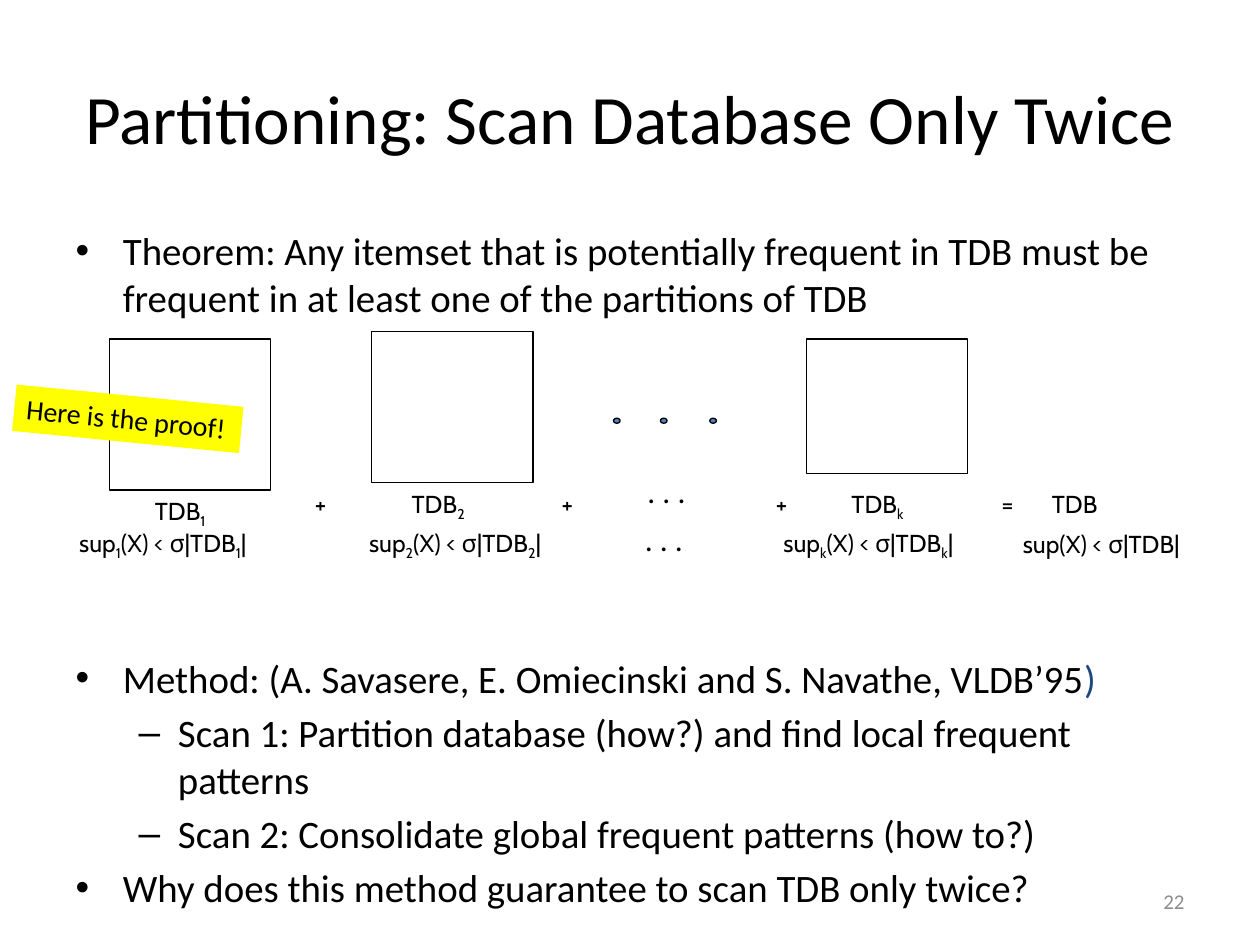
import pptx
import pptx.util
import pptx.dml.color
import pptx.enum.shapes
import pptx.enum.text
import pptx.oxml
from lxml import etree

Pt = pptx.util.Pt
RGB = pptx.dml.color.RGBColor.from_string
SHAPE = pptx.enum.shapes.MSO_SHAPE
ALIGN = pptx.enum.text.PP_ALIGN
ANCHOR = pptx.enum.text.MSO_ANCHOR
AUTO = pptx.enum.text.MSO_AUTO_SIZE

THEME = {
    "font": "Calibri", "label_font": "Cabin",
    "title": 39.6, "body": 22.2, "label": 14, "dots": 18, "note": 16, "number": 12,
    "text": "000000", "accent": "1F497D", "dot": "4F81BD",
    "highlight": "FFFF00", "muted": "8C8C8C", "line": "000000",
}

# Content
TITLE = "Partitioning: Scan Database Only Twice"
DIAGRAM_GAP = 191
# (level, space before, runs as (text, colour key))
BULLETS = [
    (0, 0, [("Theorem: Any itemset that is potentially frequent in TDB must be "
             "frequent in at least one of the partitions of TDB", "text")]),
    (0, DIAGRAM_GAP, [("Method: (A. Savasere, E. Omiecinski and S. Navathe, VLDB’95", "text"),
                      (")", "accent")]),
    (1, 4.4, [("Scan 1: Partition database (how?) and find local frequent patterns", "text")]),
    (1, 4.4, [("Scan 2: Consolidate global frequent patterns (how to?)", "text")]),
    (0, 4.4, [("Why does this method guarantee to scan TDB only twice?", "text")]),
]
NAME_Y, SUP_Y, LABEL_H = 275.8, 298.1, 24.2
# index, box (left, top, height), name (left, top, width), support (left, width)
PARTITIONS = [
    ("1", (62.6, 193.7, 86.4), (81.4, 280.1, 61), (38.2, 147)),
    ("2", (212.4, 189.4, 86.4), (228.2, NAME_Y, 61), (203.8, 147)),
    ("k", (460.8, 193.7, 77), (479.5, NAME_Y, 55.5), (440.6, 129)),
]
BOX_W = 92.2
PLUS_LEFTS = [172.8, 313.9, 436.3]
DOT_LEFTS = [350.6, 377.4, 405.6]
ELLIPSES = [(362.9, 266.4), (361.4, 293.8)]
TOTAL_TAB = 28.8


def style(r, size, color="text", font="font"):
    r.font.name = THEME[font]
    r.font.size = Pt(THEME[size])
    r.font.color.rgb = RGB(THEME[color])


def add_text(s, text, box, size="label", font="label_font", color="text"):
    """Add a text box; parts between ~ marks are subscripts."""
    tf = s.shapes.add_textbox(*map(Pt, box)).text_frame
    tf.word_wrap = True
    p = tf.paragraphs[0]
    for i, part in enumerate(text.split("~")):
        r = p.add_run()
        r.text = part
        style(r, size, color, font)
        if i % 2:
            r._r.get_or_add_rPr().set("baseline", "-25000")
    return tf


def add_shape(s, kind, box, fill=None, line=None):
    sp = s.shapes.add_shape(kind, *map(Pt, box))
    sp.shadow.inherit = False
    if fill:
        sp.fill.solid()
        sp.fill.fore_color.rgb = RGB(THEME[fill])
    else:
        sp.fill.background()
    if line:
        sp.line.color.rgb = RGB(THEME[line])
        sp.line.width = Pt(0.75)
    else:
        sp.line.fill.background()
    return sp


def add_title_and_body(s):
    title, body = s.placeholders[0], s.placeholders[1]
    for ph, box in ((title, (36, 21.6, 648, 90)), (body, (36, 126, 648, 356.4))):
        ph.left, ph.top, ph.width, ph.height = map(Pt, box)
        ph.text_frame.auto_size = AUTO.NONE
    title.text_frame.text = TITLE
    style(title.text_frame.paragraphs[0].runs[0], "title")

    tf = body.text_frame
    for i, (level, before, runs) in enumerate(BULLETS):
        p = tf.add_paragraph() if i else tf.paragraphs[0]
        p.level = level
        p.space_before = Pt(before)
        for text, color in runs:
            r = p.add_run()
            r.text = text
            style(r, "body", color)


def add_diagram(s):
    # Partitions with their names and support conditions
    for index, (x, y, h), (nx, ny, nw), (sx, sw) in PARTITIONS:
        add_shape(s, SHAPE.RECTANGLE, (x, y, BOX_W, h), line="line")
        add_text(s, f"TDB~{index}~", (nx, ny, nw, LABEL_H))
        add_text(s, f"sup~{index}~(X) < σ|TDB~{index}~|", (sx, SUP_Y, sw, LABEL_H))

    # Omitted partitions
    for x in DOT_LEFTS:
        add_shape(s, SHAPE.OVAL, (x, 239, 3.8, 2.9), fill="dot", line="line")
    for x, y in ELLIPSES:
        add_text(s, ". . .", (x, y, 49, 28.8), "dots", "font")

    # Sum and total
    for x in PLUS_LEFTS:
        # Narrow box: the sign must stay on one line
        add_text(s, "+", (x, NAME_Y, 18.7, LABEL_H)).word_wrap = False
    tf = add_text(s, "=\tTDB", (565.2, NAME_Y, 110.2, LABEL_H))
    tabs = etree.SubElement(tf.paragraphs[0]._p.get_or_add_pPr(), pptx.oxml.ns.qn("a:tabLst"))
    etree.SubElement(tabs, pptx.oxml.ns.qn("a:tab"), pos=str(Pt(TOTAL_TAB)), algn="l")
    add_text(s, "sup(X) < σ|TDB|", (577.4, 298.8, 134.6, LABEL_H))

    # Tilted note
    note = add_shape(s, SHAPE.RECTANGLE, (7.9, 226.1, 130.3, 26.6), fill="highlight")
    note.rotation = 5.6
    tf = note.text_frame
    tf.word_wrap = False
    tf.text = "Here is the proof!"
    tf.vertical_anchor = ANCHOR.TOP
    tf.paragraphs[0].alignment = ALIGN.LEFT
    style(tf.paragraphs[0].runs[0], "note")


def main():
    prs = pptx.Presentation()
    prs.slide_width, prs.slide_height = Pt(720), Pt(540)
    s = prs.slides.add_slide(prs.slide_layouts[1])
    add_title_and_body(s)
    add_diagram(s)

    # Slide number
    tf = add_text(s, "22", (516, 500.5, 168, 28.8), "number", "font", "muted")
    tf.vertical_anchor = ANCHOR.MIDDLE
    tf.paragraphs[0].alignment = ALIGN.RIGHT
    prs.save("out.pptx")


if __name__ == "__main__":
    main()
